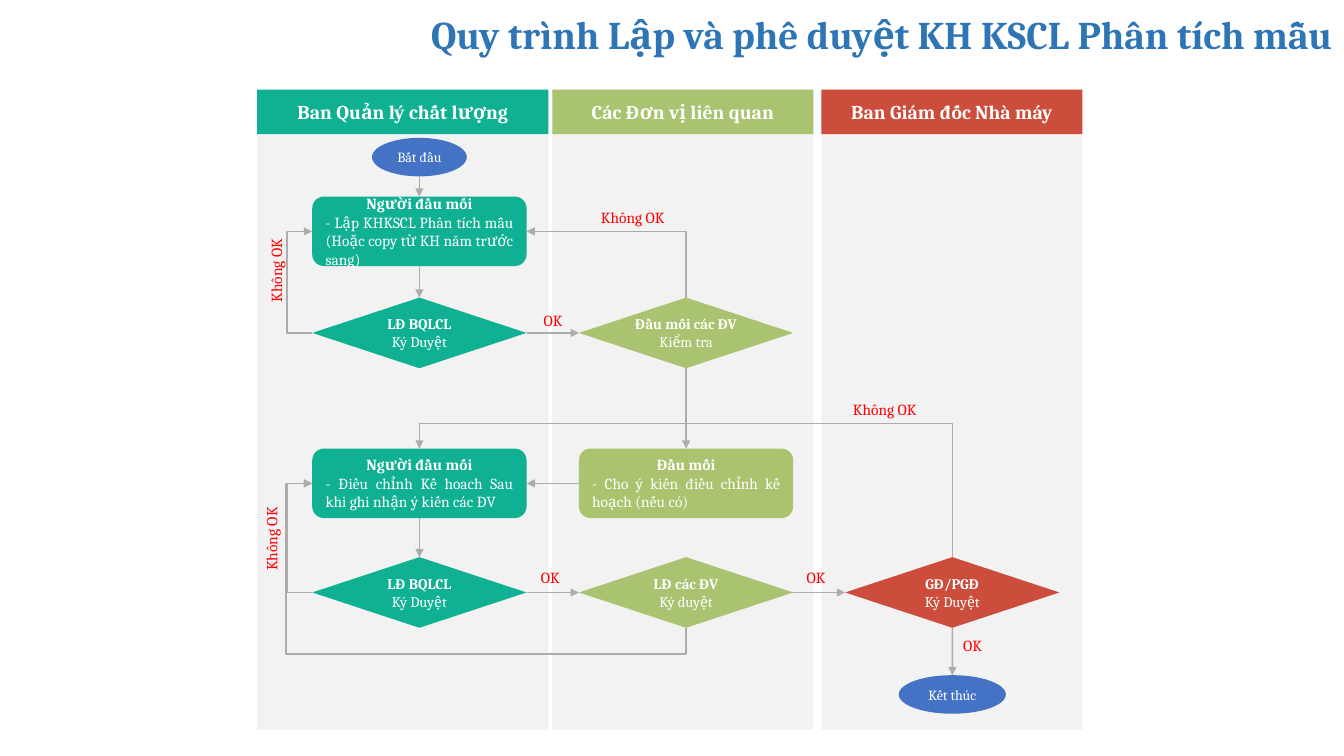
import pptx
import pptx.util
from lxml import etree
from pptx.dml.color import RGBColor
from pptx.enum.shapes import MSO_CONNECTOR, MSO_SHAPE
from pptx.enum.text import MSO_ANCHOR, MSO_AUTO_SIZE, PP_ALIGN
from pptx.oxml.ns import qn
from pptx.util import Cm

COLORS = {
    "title": "2E75B6", "lane": "F2F2F2", "quality": "10B193", "units": "A9C370",
    "comment": "ABC36F", "director": "CD4D3C", "terminal": "4472C4",
    "arrow": "AFABAB", "label": "FF0000", "white": "FFFFFF",
}
FONT = "Cambria"

# Centres of the columns and rows, in cm
QUALITY, UNITS, DIRECTOR = 10.57, 17.29, 24.0
START_ROW, DRAFT_ROW, CHECK_ROW, REVISE_ROW, APPROVE_ROW, END_ROW = (
    3.96, 5.83, 8.39, 12.18, 14.93, 17.5)
NODE_WIDTH, NODE_HEIGHT = 5.4, 1.78
LANE_TOP, LANE_HEIGHT, HEADER_HEIGHT = 2.26, 16.13, 1.12

# Connection sites
TOP, LEFT, BOTTOM, RIGHT = range(4)
ELLIPSE_BOTTOM = 4


def color(name):
    return RGBColor.from_string(COLORS[name])


def write_text(paragraph, text, size=11, bold=False, fill="white", align=PP_ALIGN.CENTER):
    paragraph.alignment = align
    run = paragraph.add_run()
    run.text = text
    run.font.name = FONT
    run.font.size = pptx.util.Pt(size)
    run.font.bold = bold
    run.font.color.rgb = color(fill)


def add_block(slide, kind, left, top, width, height, fill):
    shape = slide.shapes.add_shape(kind, Cm(left), Cm(top), Cm(width), Cm(height))
    shape.shadow.inherit = False
    shape.fill.solid()
    shape.fill.fore_color.rgb = color(fill)
    shape.line.fill.background()
    shape.text_frame.word_wrap = True
    shape.text_frame.vertical_anchor = MSO_ANCHOR.MIDDLE
    return shape


def add_node(slide, kind, center_x, center_y, width, height, fill):
    return add_block(slide, kind, center_x - width / 2, center_y - height / 2,
                     width, height, fill)


def remove_insets(text_frame):
    text_frame.margin_left = text_frame.margin_right = 0
    text_frame.margin_top = text_frame.margin_bottom = 0


def add_lane(slide, left, width, heading, fill):
    add_block(slide, MSO_SHAPE.RECTANGLE, left, LANE_TOP, width, LANE_HEIGHT, "lane")
    header = add_block(slide, MSO_SHAPE.RECTANGLE, left, LANE_TOP, width, HEADER_HEIGHT, fill)
    write_text(header.text_frame.paragraphs[0], heading, size=14, bold=True)


def add_task(slide, x, y, owner, task, fill):
    shape = add_node(slide, MSO_SHAPE.ROUNDED_RECTANGLE, x, y, NODE_WIDTH, 1.75, fill)
    write_text(shape.text_frame.paragraphs[0], owner, bold=True)
    write_text(shape.text_frame.add_paragraph(), task, align=PP_ALIGN.JUSTIFY)
    return shape


def add_decision(slide, x, y, owner, action, fill):
    shape = add_node(slide, MSO_SHAPE.DIAMOND, x, y, NODE_WIDTH, NODE_HEIGHT, fill)
    remove_insets(shape.text_frame)
    write_text(shape.text_frame.paragraphs[0], owner, size=10.5, bold=True)
    write_text(shape.text_frame.add_paragraph(), action, size=10.5)
    return shape


def add_terminal(slide, x, y, width, text):
    shape = add_node(slide, MSO_SHAPE.OVAL, x, y, width, 0.97, "terminal")
    remove_insets(shape.text_frame)
    write_text(shape.text_frame.paragraphs[0], text, size=10)
    return shape


def add_label(slide, x, y, text, width=2.8, rotation=0):
    height = 0.74
    box = slide.shapes.add_textbox(Cm(x - width / 2), Cm(y - height / 2), Cm(width), Cm(height))
    box.rotation = rotation
    box.text_frame.word_wrap = True
    write_text(box.text_frame.paragraphs[0], text, fill="label")


def add_arrow(slide, source, source_site, target, target_site, kind=MSO_CONNECTOR.STRAIGHT):
    middle = source.left + source.width // 2
    connector = slide.shapes.add_connector(
        kind, middle, source.top + source.height, middle, target.top)
    if source_site != ELLIPSE_BOTTOM:
        connector.begin_connect(source, source_site)
    connector.end_connect(target, target_site)
    connector.line.color.rgb = color("arrow")
    connector.line.width = pptx.util.Pt(1)
    properties = connector.element.spPr
    etree.SubElement(properties.find(qn("a:ln")), qn("a:tailEnd"), type="triangle")
    etree.SubElement(properties, qn("a:effectLst"))
    return connector


def add_elbow(slide, source, source_site, target, target_site, preset, rotation,
              flip=None, bends=()):
    """Bends are fractions of the connector's box before it is turned."""
    connector = add_arrow(slide, source, source_site, target, target_site, MSO_CONNECTOR.ELBOW)
    center_x = (connector.begin_x + connector.end_x) // 2
    center_y = (connector.begin_y + connector.end_y) // 2
    width = max(abs(connector.end_x - connector.begin_x), Cm(0.01))
    height = abs(connector.end_y - connector.begin_y)
    if rotation in (90, 270):
        width, height = height, width
    connector.left, connector.top = center_x - width // 2, center_y - height // 2
    connector.width, connector.height = width, height

    # Turn, flip and bend positions
    transform = connector.element.spPr.find(qn("a:xfrm"))
    for attribute in ("flipH", "flipV"):
        transform.attrib.pop(attribute, None)
    transform.set("rot", str(rotation * 60000))
    if flip:
        transform.set(flip, "1")
    geometry = connector.element.spPr.find(qn("a:prstGeom"))
    geometry.set("prst", preset)
    guides = geometry.find(qn("a:avLst"))
    for number, bend in enumerate(bends, 1):
        etree.SubElement(guides, qn("a:gd"), name=f"adj{number}",
                         fmla=f"val {round(bend * 100000)}")


def add_title(slide, text):
    title = slide.shapes.title
    title.left, title.top, title.width, title.height = Cm(0), Cm(0.13), Cm(33.83), Cm(1.45)
    title.text_frame.auto_size = MSO_AUTO_SIZE.NONE
    title.text_frame.vertical_anchor = MSO_ANCHOR.TOP
    write_text(title.text_frame.paragraphs[0], text, size=28, bold=True, fill="title",
               align=PP_ALIGN.RIGHT)


def main():
    presentation = pptx.Presentation()
    presentation.slide_width, presentation.slide_height = Cm(33.87), Cm(19.05)
    slide = presentation.slides.add_slide(presentation.slide_layouts[5])
    add_title(slide, "Quy trình Lập và phê duyệt KH KSCL Phân tích mẫu")

    # Lanes
    add_lane(slide, 6.48, 7.34, "Ban Quản lý chất lượng", "quality")
    add_lane(slide, 13.92, 6.58, "Các Đơn vị liên quan", "units")
    add_lane(slide, 20.7, 6.58, "Ban Giám đốc Nhà máy", "director")

    # Steps
    start = add_terminal(slide, QUALITY, START_ROW, 2.39, "Bắt đầu")
    draft = add_task(slide, QUALITY, DRAFT_ROW, "Người đầu mối",
                     "- Lập KHKSCL Phân tích mẫu (Hoặc copy từ KH năm trước sang)", "quality")
    check = add_decision(slide, QUALITY, CHECK_ROW, "LĐ BQLCL", "Ký Duyệt", "quality")
    review = add_decision(slide, UNITS, CHECK_ROW, "Đầu mối các ĐV", "Kiểm tra", "units")
    revise = add_task(slide, QUALITY, REVISE_ROW, "Người đầu mối",
                      "- Điều chỉnh Kế hoach Sau khi ghi nhận ý kiến các ĐV", "quality")
    comment = add_task(slide, UNITS, REVISE_ROW, "Đầu mối",
                       "- Cho ý kiến điều chỉnh kế hoạch (nếu có)", "comment")
    approve = add_decision(slide, QUALITY, APPROVE_ROW, "LĐ BQLCL", "Ký Duyệt", "quality")
    unit_approve = add_decision(slide, UNITS, APPROVE_ROW, "LĐ các ĐV", "Ký duyệt", "units")
    final_approve = add_decision(slide, DIRECTOR, APPROVE_ROW, "GĐ/PGĐ", "Ký Duyệt", "director")
    end = add_terminal(slide, DIRECTOR, END_ROW, 2.7, "Kết thúc")

    # Forward arrows
    for source, source_site, target, target_site in (
            (start, ELLIPSE_BOTTOM, draft, TOP), (draft, BOTTOM, check, TOP),
            (check, RIGHT, review, LEFT), (review, BOTTOM, comment, TOP),
            (comment, LEFT, revise, RIGHT), (revise, BOTTOM, approve, TOP),
            (approve, RIGHT, unit_approve, LEFT),
            (unit_approve, RIGHT, final_approve, LEFT), (final_approve, BOTTOM, end, TOP)):
        add_arrow(slide, source, source_site, target, target_site)

    # Return arrows
    add_elbow(slide, review, TOP, draft, RIGHT, "bentConnector2", 270, "flipV")
    for source, target in ((check, draft), (approve, revise)):
        add_elbow(slide, source, LEFT, target, LEFT, "bentConnector3", 180, bends=[64])
    add_elbow(slide, final_approve, TOP, revise, TOP, "bentConnector3", 270, "flipV", [1.23])
    add_elbow(slide, unit_approve, BOTTOM, revise, LEFT, "bentConnector4", 90, "flipH",
              [-0.18, 1.07])

    # Outcome labels
    for x, y in ((13.94, 8.08), (13.87, 14.56), (20.57, 14.56), (24.51, 16.28)):
        add_label(slide, x, y, "OK", width=1.63)
    for x, y, rotation in ((6.97, 6.82, 270), (15.95, 5.49, 0),
                           (22.3, 10.34, 0), (6.85, 13.58, 270)):
        add_label(slide, x, y, "Không OK", rotation=rotation)

    presentation.save("out.pptx")


if __name__ == "__main__":
    main()
